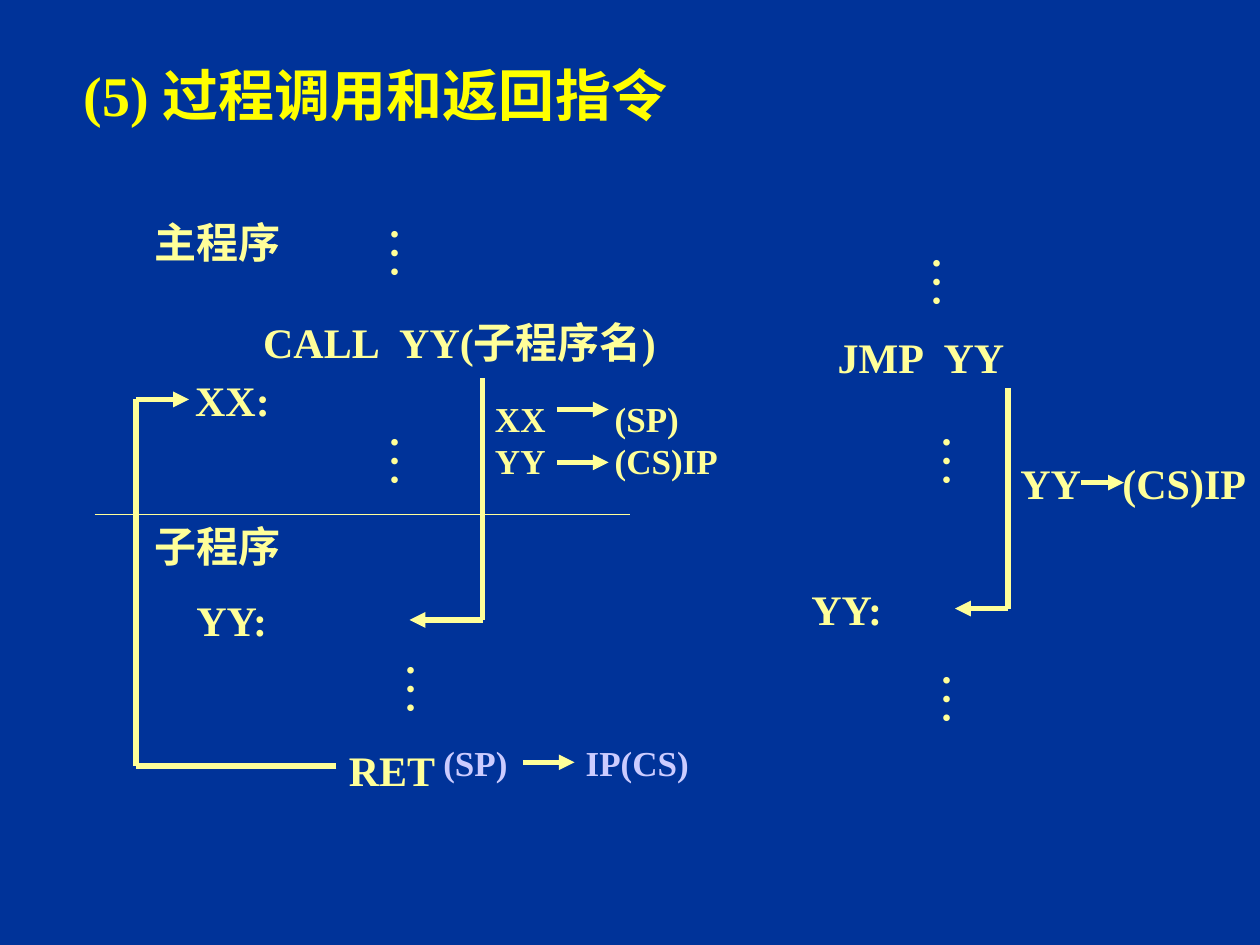
from dataclasses import dataclass

import pptx
import pptx.dml.color
import pptx.enum.shapes
import pptx.enum.text
import pptx.oxml
import pptx.oxml.ns
import pptx.slide
import pptx.util
from pptx.util import Inches

COLORS = {"background": "003399", "title": "FFFF00", "code": "FFFF99", "stack": "CCCCFF"}
FONT = "Times New Roman"


@dataclass
class Label:
    left: float
    top: float
    width: float
    lines: tuple[str, ...]
    size: int = 24
    color: str = "code"
    height: float = 0.5
    tab: float = 0


@dataclass
class Route:
    points: tuple[tuple[float, float], ...]
    weight: float = 3
    arrow: bool = True


def rgb(name: str) -> pptx.dml.color.RGBColor:
    return pptx.dml.color.RGBColor.from_string(COLORS[name])


def style(font, size: int, color: str, bold: bool = True) -> None:
    font.name = FONT
    font.size = pptx.util.Pt(size)
    font.bold = bold
    font.color.rgb = rgb(color)


def add_child(parent, tag: str, **attributes: str):
    child = pptx.oxml.parse_xml(f"<{tag} {pptx.oxml.ns.nsdecls('a')}/>")
    for key, value in attributes.items():
        child.set(key, value)
    parent.append(child)
    return child


def draw_label(slide: pptx.slide.Slide, label: Label) -> None:
    box = slide.shapes.add_textbox(
        Inches(label.left), Inches(label.top), Inches(label.width), Inches(label.height))
    frame = box.text_frame
    frame.word_wrap = True
    frame.margin_right = 0
    frame.vertical_anchor = pptx.enum.text.MSO_ANCHOR.MIDDLE
    frame.text = "\n".join(label.lines)
    for paragraph in frame.paragraphs:
        if label.tab:
            tabs = add_child(paragraph._p.get_or_add_pPr(), "a:tabLst")
            add_child(tabs, "a:tab", pos=str(Inches(label.tab)), algn="l")
        style(paragraph.font, label.size, label.color)


def draw_route(slide: pptx.slide.Slide, route: Route) -> None:
    legs = list(zip(route.points, route.points[1:]))
    for index, (start, end) in enumerate(legs, 1):
        leg = slide.shapes.add_connector(
            pptx.enum.shapes.MSO_CONNECTOR.STRAIGHT, *map(Inches, start + end))
        leg.line.color.rgb = rgb("code")
        leg.line.width = pptx.util.Pt(route.weight)
        if route.arrow and index == len(legs):
            add_child(leg.line._get_or_add_ln(), "a:tailEnd", type="triangle")
        add_child(leg._element.spPr, "a:effectLst")


def draw_ellipsis(slide: pptx.slide.Slide, left: float, top: float) -> None:
    box = slide.shapes.add_textbox(Inches(left), Inches(top), Inches(0.73), Inches(0.87))
    frame = box.text_frame
    frame.word_wrap = True
    frame.margin_left = frame.margin_right = Inches(0.05)
    frame.margin_top, frame.margin_bottom = Inches(0.24), Inches(0.1)
    frame._txBody.bodyPr.set("vert", "eaVert")
    frame.text = "…"
    style(frame.paragraphs[0].font, 32, "code", bold=False)


LABELS = (
    Label(1.13, 1.67, 1.2, ("主程序",)),
    Label(1.99, 2.46, 3.6, ("CALL\tYY(子程序名)",), tab=1.08),
    Label(1.45, 2.92, 0.79, ("XX:",)),
    Label(1.46, 4.67, 0.79, ("YY:",)),
    Label(1.13, 4.08, 1.2, ("子程序",)),
    Label(2.67, 5.86, 0.88, ("RET",)),
    Label(3.42, 5.83, 2.15, ("(SP)\tIP(CS)",), 20, "stack", 0.44, 1.13),
    Label(3.83, 3.1, 1.98, ("XX\t(SP)", "YY\t(CS)IP"), 20, height=0.77, tab=0.95),
    Label(6.55, 2.58, 1.53, ("JMP\tYY",), tab=0.84),
    Label(6.34, 4.58, 0.79, ("YY:",)),
    Label(8, 3.58, 2, ("YY\t(CS)IP",), tab=0.81),
)

ROUTES = (
    Route(((0.75, 4.08), (5, 4.08)), weight=0.25, arrow=False),
    Route(((2.67, 6.08), (1.08, 6.08), (1.08, 3.17), (1.5, 3.17))),
    Route(((4.15, 6.05), (4.56, 6.05))),
    Route(((4.42, 3.25), (4.83, 3.25))),
    Route(((4.42, 3.67), (4.83, 3.67))),
    Route(((3.83, 3), (3.83, 4.92), (3.25, 4.92))),
    Route(((8, 3.08), (8, 4.83), (7.58, 4.83))),
    Route(((8.58, 3.83), (8.92, 3.83))),
)

ELLIPSES = ((2.88, 1.55), (2.88, 3.2), (3.01, 5.01), (7.18, 1.78), (7.26, 3.2), (7.26, 5.09))


def main() -> None:
    deck = pptx.Presentation()
    deck.slide_width, deck.slide_height = Inches(10), Inches(7.5)
    slide = deck.slides.add_slide(deck.slide_layouts[5])
    slide.background.fill.solid()
    slide.background.fill.fore_color.rgb = rgb("background")

    title = slide.shapes.title
    title.left, title.top = Inches(0.33), Inches(0.5)
    title.width, title.height = Inches(5.3), Inches(0.5)
    title.text_frame.text = "(5) 过程调用和返回指令"
    title.text_frame.auto_size = pptx.enum.text.MSO_AUTO_SIZE.NONE
    title.text_frame.vertical_anchor = pptx.enum.text.MSO_ANCHOR.MIDDLE
    style(title.text_frame.paragraphs[0].font, 32, "title")

    for label in LABELS:
        draw_label(slide, label)
    for route in ROUTES:
        draw_route(slide, route)
    for left, top in ELLIPSES:
        draw_ellipsis(slide, left, top)
    deck.save("out.pptx")


if __name__ == "__main__":
    main()
